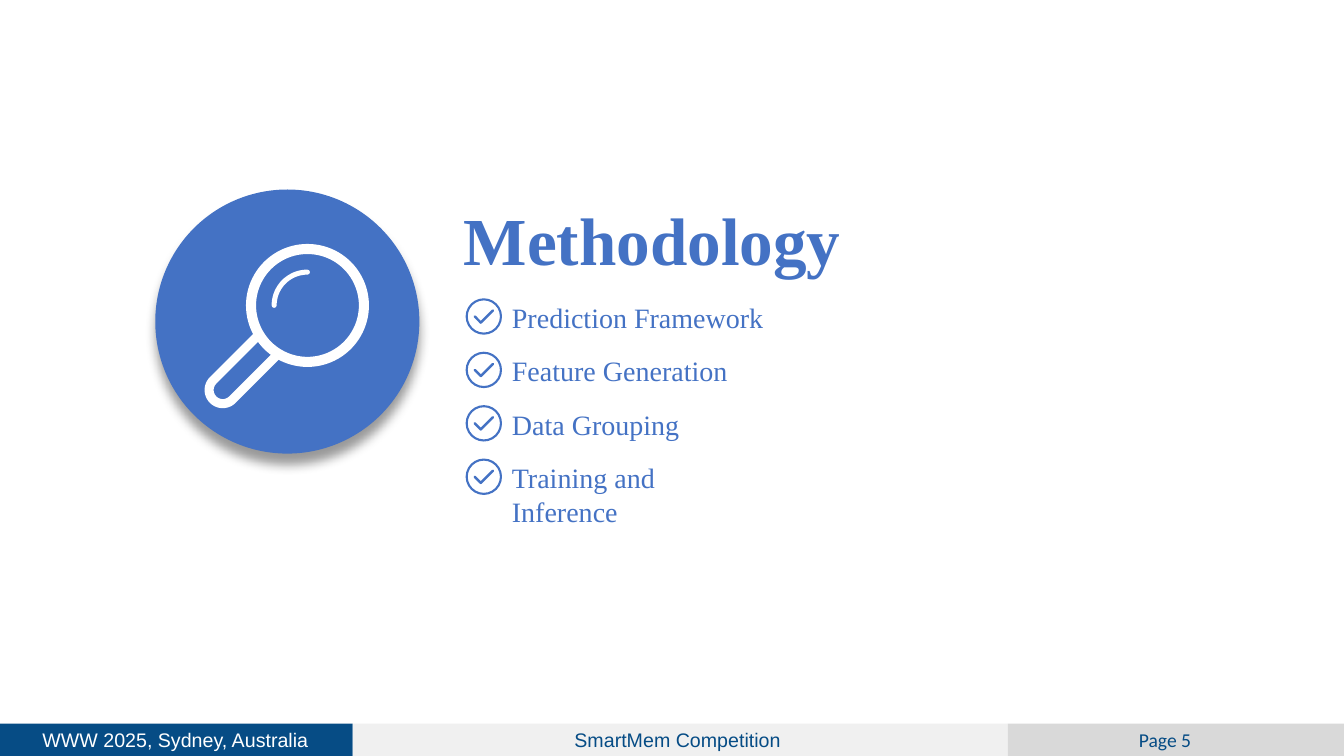
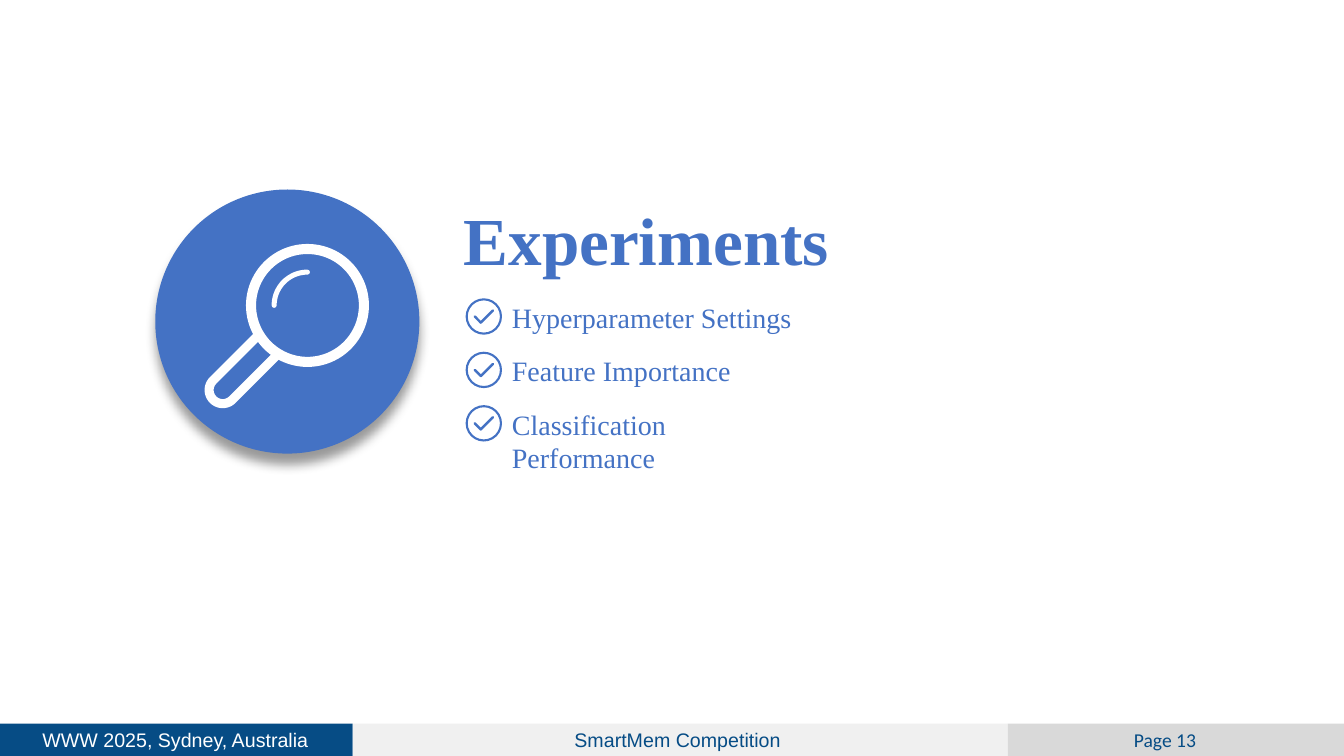
from math import cos, radians, sin

from lxml.etree import SubElement
from pptx import Presentation
from pptx.dml.color import RGBColor
from pptx.enum.shapes import MSO_SHAPE as SHAPE
from pptx.enum.text import MSO_ANCHOR as ANCHOR, MSO_AUTO_SIZE as AUTOSIZE, PP_ALIGN as ALIGN
from pptx.oxml.ns import qn
from pptx.util import Inches, Pt

CELL = Inches(0.1)
COLS, ROWS = 133.33, 75

BLUE = RGBColor(0x44, 0x72, 0xC4)
NAVY = RGBColor(0x06, 0x4C, 0x85)
PALE = RGBColor(0xF0, 0xF0, 0xF0)
GREY = RGBColor(0xD9, 0xD9, 0xD9)
WHITE = RGBColor(0xFF, 0xFF, 0xFF)
BLACK = RGBColor(0, 0, 0)

SERIF = "Times New Roman"
TITLE = {"name": SERIF, "size": Pt(48), "bold": True, "color": BLUE}
TOPIC = {"name": SERIF, "size": Pt(20), "color": BLUE}
VENUE = {"name": "Arial", "size": Pt(14), "color": WHITE}
EVENT = {**VENUE, "color": NAVY}
PAGE = {**EVENT, "name": "Calibri"}

BAND_TOP, BAND_H = 71.8, 3.2
LABEL_TOP, LABEL_W, LABEL_H = 71.4, 30, 4
LABEL_INSETS = (0.7, 0.4)
TOPIC_TOP, TOPIC_STEP = 29.3, 5.3
ONE_LINE, TWO_LINES = (46.1, 4.4), (22, 7.7)

SECTIONS = [
    ("Methodology", 5, [
        ("Prediction Framework", ONE_LINE),
        ("Feature Generation", ONE_LINE),
        ("Data Grouping", ONE_LINE),
        ("Training and Inference", TWO_LINES),
    ]),
    ("Experiments", 13, [
        ("Hyperparameter Settings", ONE_LINE),
        ("Feature Importance", ONE_LINE),
        ("Classification Performance", TWO_LINES),
    ]),
]


def cells(*counts):
    """Convert counts of grid cells to lengths."""
    return [round(n * CELL) for n in counts]


def write(s, text, style, align=ALIGN.LEFT, anchor=ANCHOR.TOP, insets=(1, 0.5)):
    """Set a shape's single paragraph in the given style."""
    tf = s.text_frame
    across, down = cells(*insets)
    frame = {"word_wrap": True, "auto_size": AUTOSIZE.NONE, "vertical_anchor": anchor,
             "margin_left": across, "margin_right": across,
             "margin_top": down, "margin_bottom": down}
    for name, value in frame.items():
        setattr(tf, name, value)
    p = tf.paragraphs[0]
    p.alignment = align
    r = p.add_run()
    r.text = text
    for name, value in style.items():
        if name == "color":
            r.font.color.rgb = value
        else:
            setattr(r.font, name, value)


def filled(shapes, kind, box, color):
    """Add a flat preset shape without an outline."""
    s = shapes.add_shape(kind, *cells(*box))
    s.shadow.inherit = False
    s.fill.solid()
    s.fill.fore_color.rgb = color
    s.line.fill.background()
    return s


def outline(s, color, width):
    """Leave a shape unfilled and give it a round-ended line."""
    s.shadow.inherit = False
    s.fill.background()
    s.line.color.rgb = color
    s.line.width = Pt(width)
    s._element.spPr.find(qn("a:ln")).set("cap", "rnd")


def ring(shapes, cx, cy, radius, color, width):
    """Add a circle drawn as a line."""
    box = cells(cx - radius, cy - radius, 2 * radius, 2 * radius)
    outline(shapes.add_shape(SHAPE.OVAL, *box), color, width)


def stroke(shapes, points, color, width):
    """Add an open line through the points."""
    start, *rest = [cells(*point) for point in points]
    builder = shapes.build_freeform(*start)
    builder.add_line_segments(rest, close=False)
    outline(builder.convert_to_shape(), color, width)


def arc(cx, cy, radius, first, last, steps=24):
    """Return points along an arc, with angles in degrees."""
    angles = [radians(first + (last - first) * i / steps) for i in range(steps + 1)]
    return [(cx + radius * cos(a), cy + radius * sin(a)) for a in angles]


def drop_shadow(s):
    """Add a soft shadow below a shape."""
    effects = s._element.spPr.find(qn("a:effectLst"))
    shadow = SubElement(effects, qn("a:outerShdw"), blurRad=str(Pt(8)), dist=str(Pt(8)),
                        dir="5400000", algn="t", rotWithShape="0")
    color = SubElement(shadow, qn("a:srgbClr"), val=str(BLACK))
    SubElement(color, qn("a:alpha"), val="40000")


def label(shapes, left, text, style):
    """Add a centred footer label."""
    s = shapes.add_textbox(*cells(left, LABEL_TOP, LABEL_W, LABEL_H))
    write(s, text, style, ALIGN.CENTER, ANCHOR.MIDDLE, LABEL_INSETS)
    return s


def footer(slide):
    """Build the footer and move it to the slide's layout."""
    edges = (0, 35, 100, COLS)
    bands = [filled(slide.shapes, SHAPE.RECTANGLE, (x, BAND_TOP, end - x, BAND_H), color)
             for x, end, color in zip(edges, edges[1:], (NAVY, PALE, GREY))]
    write(bands[1], "SmartMem Competition ", EVENT, ALIGN.CENTER, ANCHOR.MIDDLE)
    venue = label(slide.shapes, 2.4, "WWW 2025, Sydney, Australia", VENUE)
    for s in (*bands, venue):
        slide.slide_layout.shapes._spTree.append(s._element)


def magnifier(shapes):
    """Draw the magnifying glass on its round badge."""
    drop_shadow(filled(shapes, SHAPE.OVAL, (15.4, 18.8, 26.2, 26.2), BLUE))
    icon = shapes.add_group_shape().shapes
    cx, cy = 30.5, 30.3
    ring(icon, cx, cy, 5.6, WHITE, 7.2)
    stroke(icon, arc(cx, cy, 3.3, 180, 270), WHITE, 3.6)
    end = arc(22.1, 38.7, 1.35, 225, 45)
    reach = 4.5
    sides = [(x + reach, y - reach) for x, y in (end[0], end[-1])]
    stroke(icon, [sides[0], *end, sides[1]], WHITE, 6.5)


def topic(shapes, row, text, size):
    """Add one ticked topic in the given row."""
    top = TOPIC_TOP + row * TOPIC_STEP
    cx, cy = 48, top + 2.1
    tick = shapes.add_group_shape().shapes
    ring(tick, cx, cy, 1.7, BLUE, 1.5)
    stroke(tick, [(cx - 0.9, cy), (cx - 0.3, cy + 0.6), (cx + 0.9, cy - 0.6)], BLUE, 1.75)
    write(shapes.add_textbox(*cells(49.8, top, *size)), text, TOPIC)


def section(slide, title, page, topics):
    """Fill a section slide."""
    s = slide.shapes.title
    s.left, s.top, s.width, s.height = cells(45, 19.2, 50, 9.1)
    write(s, title, TITLE)
    magnifier(slide.shapes)
    for row, (text, size) in enumerate(topics):
        topic(slide.shapes, row, text, size)
    label(slide.shapes, 100.8, f"Page {page} ", PAGE)


def main():
    """Build and save the presentation."""
    prs = Presentation()
    prs.slide_width, prs.slide_height = cells(COLS, ROWS)
    layout = prs.slide_layouts.get_by_name("Title Only")
    for i, content in enumerate(SECTIONS):
        slide = prs.slides.add_slide(layout)
        if i == 0:
            footer(slide)
        section(slide, *content)
    prs.save("out.pptx")


if __name__ == "__main__":
    main()
